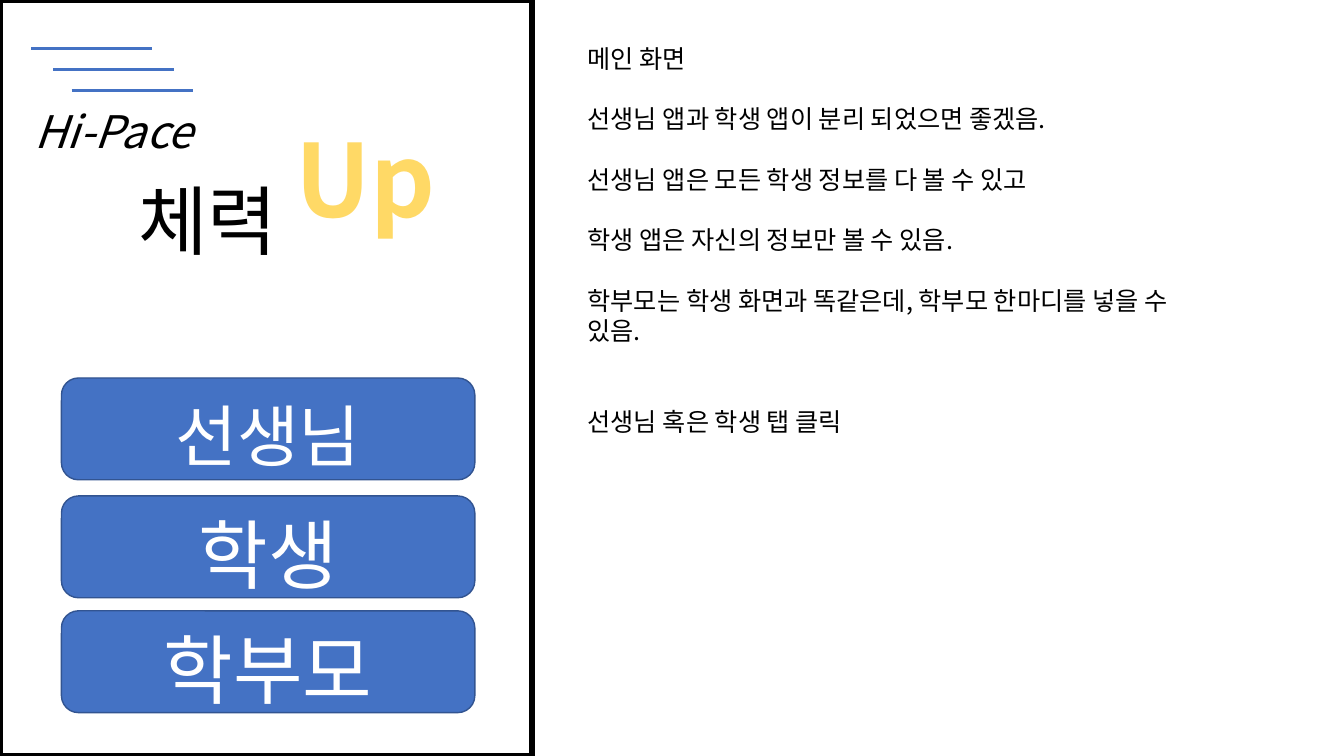
from dataclasses import dataclass

from lxml import etree
from pptx import Presentation
from pptx import util as u
from pptx.dml.color import RGBColor
from pptx.enum import shapes, text
from pptx.oxml import ns


@dataclass(frozen=True)
class Theme:
    font: str = "Noto Sans CJK KR"
    ink: str = "000000"
    paper: str = "FFFFFF"
    blue: str = "4472C4"
    edge: str = "325491"
    gold: str = "FFD966"
    note: int = 18
    brand: int = 32
    tab: int = 48
    big: int = 54
    huge: int = 72


T = Theme()
TABS = [("선생님", 3.75, T.tab), ("학생", 4.92, T.big), ("학부모", 6.06, T.big)]
# Each note with the number of free lines above it
NOTES = [
    ("메인 화면", 0),
    ("선생님 앱과 학생 앱이 분리 되었으면 좋겠음.", 1),
    ("선생님 앱은 모든 학생 정보를 다 볼 수 있고", 1),
    ("학생 앱은 자신의 정보만 볼 수 있음.", 1),
    ("학부모는 학생 화면과 똑같은데, 학부모 한마디를 넣을 수 있음.", 1),
    ("선생님 혹은 학생 탭 클릭", 2),
]


def write(para, words, size, color=T.ink, bold=False, italic=False,
          center=False, pitch=1.29, gap=0):
    """Fill a paragraph; pitch and gap are multiples of the type size."""
    run = para.add_run()
    run.text = words
    font = run.font
    font.name, font.size = T.font, u.Pt(size)
    font.bold, font.italic = bold, italic
    font.color.rgb = RGBColor.from_string(color)
    props = run._r.get_or_add_rPr()
    etree.SubElement(props, ns.qn("a:ea")).set("typeface", T.font)
    para.alignment = text.PP_ALIGN.CENTER if center else text.PP_ALIGN.LEFT
    para.line_spacing = u.Pt(round(size * pitch, 1))
    if gap:
        para.space_before = u.Pt(round(size * gap, 1))


def frame(slide, left, top, width, height, wrap=True):
    box = slide.shapes.add_textbox(*map(u.Inches, (left, top, width, height)))
    box.text_frame.word_wrap = wrap
    return box.text_frame


def block(slide, kind, left, top, width, height, fill, line, weight):
    shape = slide.shapes.add_shape(
        kind, *map(u.Inches, (left, top, width, height)))
    shape.shadow.inherit = False
    shape.fill.solid()
    shape.fill.fore_color.rgb = RGBColor.from_string(fill)
    shape.line.color.rgb = RGBColor.from_string(line)
    shape.line.width = u.Pt(weight)
    return shape


def stroke(slide, left, top, width):
    line = slide.shapes.add_connector(
        shapes.MSO_CONNECTOR.STRAIGHT,
        *map(u.Inches, (left, top, left + width, top)))
    line.line.color.rgb = RGBColor.from_string(T.blue)
    line.line.width = u.Pt(2)
    etree.SubElement(line._element.spPr, ns.qn("a:effectLst"))


def logo(slide, left, top):
    """Draw the app title under its three speed lines."""
    for row, shift in enumerate((0.07, 0.29, 0.47)):
        stroke(slide, left + shift, top + 0.21 * row, 1.2)
    title = frame(slide, left + 0.96, top + 1.13, 1.72, 1.01, wrap=False)
    write(title.paragraphs[0], "체력", T.big, center=True)
    rise = frame(slide, left + 2.58, top + 0.54, 1.61, 1.31)
    write(rise.paragraphs[0], "Up", T.huge, T.gold, bold=True, center=True)
    brand = frame(slide, left, top + 0.46, 1.85, 0.64)
    write(brand.paragraphs[0], "Hi-Pace", T.brand, italic=True)


def phone(slide, left, top, width, height):
    """Draw the app screen with its title and tabs."""
    block(slide, shapes.MSO_SHAPE.RECTANGLE, left, top, width, height,
          T.paper, T.ink, 4.5)
    logo(slide, left + 0.24, top + 0.48)
    for name, drop, size in TABS:
        tab = block(slide, shapes.MSO_SHAPE.ROUNDED_RECTANGLE,
                    left + 0.61, top + drop, 4.1, 1.01, T.blue, T.edge, 1)
        tab.text_frame.vertical_anchor = text.MSO_ANCHOR.MIDDLE
        write(tab.text_frame.paragraphs[0], name, size, T.paper,
              center=True, pitch=1.38)


def notes(slide, left, top, width, height):
    body = frame(slide, left, top, width, height)
    for i, (words, free) in enumerate(NOTES):
        para = body.add_paragraph() if i else body.paragraphs[0]
        write(para, words, T.note, pitch=1.2, gap=1.2 * free)


def main():
    deck = Presentation()
    deck.slide_width, deck.slide_height = u.Inches(13.33), u.Inches(7.5)
    slide = deck.slides.add_slide(deck.slide_layouts[6])
    phone(slide, 0, 0, 5.28, 7.5)
    notes(slide, 5.73, 0.38, 6.24, 4.04)
    deck.save("out.pptx")


if __name__ == "__main__":
    main()
